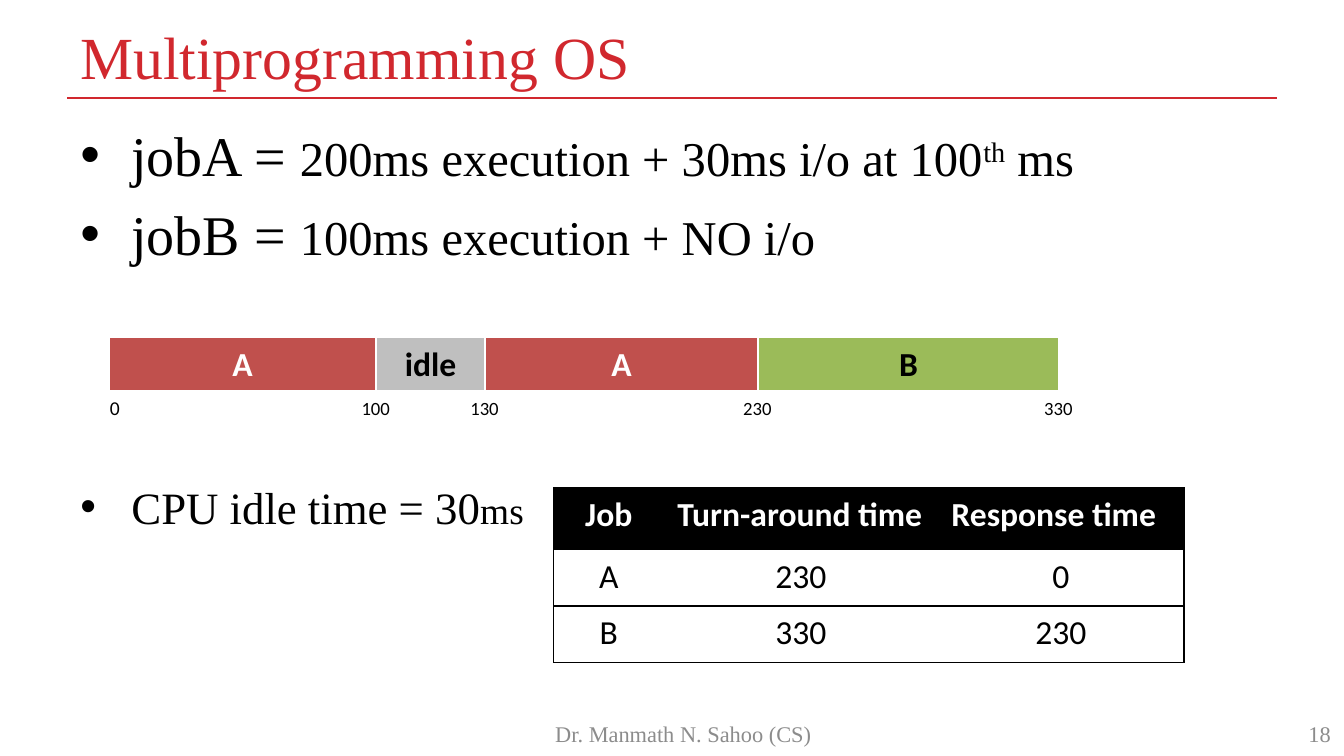
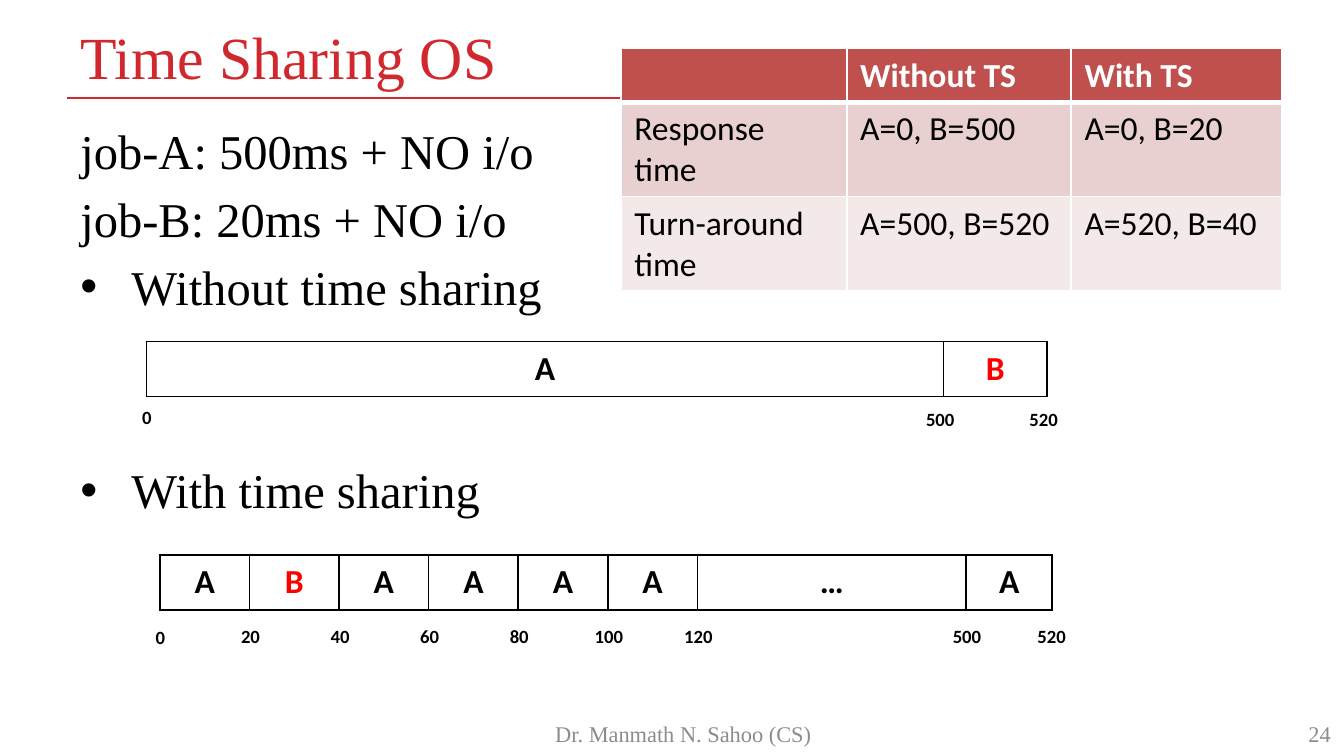
import dataclasses

import pptx
import pptx.dml.color
import pptx.enum.shapes
import pptx.enum.text
import pptx.oxml
import pptx.oxml.ns
import pptx.util
from pptx.util import Inches

ALIGN = pptx.enum.text.PP_ALIGN
ANCHOR = pptx.enum.text.MSO_ANCHOR
SERIF, SANS = "Times New Roman", "Calibri"
RED, BRICK, GREEN, IDLE = "D1282E", "C0504D", "9BBB59", "BFBFBF"
BLACK, WHITE, GREY, ALERT = "000000", "FFFFFF", "8C8C8C", "FF0000"
NO_GRID_STYLE = "{2D5ABB26-0587-4C30-8999-92F81FD0307C}"
ROW = 0.41  # height of a timeline or tick row
HANG = 0.38  # bullet indent


@dataclasses.dataclass
class Cell:
    """Content and look of one table cell; edges maps L, R, T, B to (colour, points)."""
    text: str
    size: float = 18
    color: str = BLACK
    bold: bool = False
    align: int = ALIGN.CENTER
    fill: str = ""
    edges: dict = dataclasses.field(default_factory=dict)


def rgb(value):
    """Turn a hex string into a colour."""
    return pptx.dml.color.RGBColor.from_string(value)


def all_edges(color, width, **changed):
    """Same edge on four sides, except for the changed ones."""
    return {**{side: (color, width) for side in "LRTB"}, **changed}


def add_run(paragraph, text, size, color=BLACK, font=SERIF, bold=False, raised=False):
    """Append one formatted run."""
    run = paragraph.add_run()
    run.text = text
    run.font.size = pptx.util.Pt(size)
    run.font.name = font
    run.font.bold = bold
    run.font.color.rgb = rgb(color)
    if raised:
        run.font._element.set("baseline", "30000")


def add_text_frame(slide, box, anchor=ANCHOR.TOP, wrap=True):
    """Add a text box and return its frame."""
    frame = slide.shapes.add_textbox(*map(Inches, box)).text_frame
    frame.word_wrap = wrap
    frame.vertical_anchor = anchor
    return frame


def add_label(slide, box, text, size, color, align=ALIGN.LEFT):
    """Add one bottom-anchored serif line."""
    paragraph = add_text_frame(slide, box, ANCHOR.BOTTOM).paragraphs[0]
    paragraph.alignment = align
    add_run(paragraph, text, size, color)


def add_frame(prs, title, number):
    """Start a slide with its title, rule and footer."""
    slide = prs.slides.add_slide(prs.slide_layouts[6])
    rule = slide.shapes.add_connector(
        pptx.enum.shapes.MSO_CONNECTOR.STRAIGHT,
        Inches(0.5), Inches(0.73), Inches(9.5), Inches(0.73))
    rule.line.color.rgb = rgb(RED)
    rule.line.width = pptx.util.Pt(0.75)
    rule._element.spPr.append(pptx.oxml.parse_xml(
        f'<a:effectLst {pptx.oxml.ns.nsdecls("a")}/>'))
    add_label(slide, (0.5, -0.02, 9, 0.75), title, 32, RED)
    add_label(slide, (3.5, 5.31, 3.17, 0.3), "Dr. Manmath N. Sahoo (CS)", 12, GREY,
              ALIGN.CENTER)
    add_label(slide, (7.67, 5.31, 2.33, 0.3), number, 12, GREY, ALIGN.RIGHT)
    return slide


def add_body(slide, box, lines):
    """Add body lines, each given as (bulleted, points before, runs)."""
    frame = add_text_frame(slide, box)
    for index, (bulleted, before, runs) in enumerate(lines):
        paragraph = frame.add_paragraph() if index else frame.paragraphs[0]
        paragraph.alignment = ALIGN.JUSTIFY
        paragraph.space_before = pptx.util.Pt(before)
        if bulleted:
            properties = paragraph._p.get_or_add_pPr()
            properties.set("marL", str(Inches(HANG)))
            properties.set("indent", str(-Inches(HANG)))
            for tag in ('buFont typeface="Arial"', 'buChar char="\u2022"'):
                properties.append(pptx.oxml.parse_xml(
                    f'<a:{tag} {pptx.oxml.ns.nsdecls("a")}/>'))
        for text, size, *raised in runs:
            add_run(paragraph, text, size, raised=bool(raised))


def style_cell(target, cell):
    """Write a Cell into a table cell."""
    if cell.fill:
        target.fill.solid()
        target.fill.fore_color.rgb = rgb(cell.fill)
    else:
        target.fill.background()
    paragraph = target.text_frame.paragraphs[0]
    paragraph.alignment = cell.align
    if cell.text:
        add_run(paragraph, cell.text, cell.size, cell.color, SANS, cell.bold)
    properties = target._tc.get_or_add_tcPr()
    sides = [side for side in "LRTB" if side in cell.edges]
    for index, side in enumerate(sides):
        color, width = cell.edges[side]
        properties.insert(index, pptx.oxml.parse_xml(
            f'<a:ln{side} {pptx.oxml.ns.nsdecls("a")} w="{pptx.util.Pt(width)}">'
            f'<a:solidFill><a:srgbClr val="{color}"/></a:solidFill></a:ln{side}>'))


def add_grid(slide, left, top, widths, heights, rows):
    """Add a plain table filled from rows of Cells."""
    table = slide.shapes.add_table(
        len(heights), len(widths), Inches(left), Inches(top),
        Inches(sum(widths)), Inches(sum(heights))).table
    table.first_row = table.horz_banding = False
    table._tbl.tblPr.find(pptx.oxml.ns.qn("a:tableStyleId")).text = NO_GRID_STYLE
    for column, width in zip(table.columns, widths):
        column.width = Inches(width)
    for row, height in zip(table.rows, heights):
        row.height = Inches(height)
    for r, row in enumerate(rows):
        for c, cell in enumerate(row):
            style_cell(table.cell(r, c), cell)


def add_ticks(slide, left, top, widths, times, bold=False, centred=0):
    """Add the row of end times; the first few may be centred."""
    add_grid(slide, left, top, widths, [ROW], [[
        Cell(time, 10, bold=bold, align=ALIGN.CENTER if i < centred else ALIGN.RIGHT)
        for i, time in enumerate(times)]])


def add_origin(slide, left, top, size, bold=False):
    """Add the zero at the start of a timeline."""
    frame = add_text_frame(slide, (left, top, 0.27, 0.28), wrap=False)
    add_run(frame.paragraphs[0], "0", size, font=SANS, bold=bold)


def add_outlined_timeline(slide, left, top, widths, jobs):
    """Add a black-lined timeline where job B stands out."""
    add_grid(slide, left, top, widths, [ROW], [[
        Cell(job, bold=True, color=ALERT if job == "B" else BLACK,
             edges=all_edges(BLACK, 1)) for job in jobs]])


def add_filled_timeline(slide, left, top, widths, blocks):
    """Add a timeline of coloured blocks given as (job, fill, text colour)."""
    edges = all_edges(WHITE, 1, B=(WHITE, 3))
    add_grid(slide, left, top, widths, [ROW], [[
        Cell(job, color=color, bold=True, fill=fill, edges=edges)
        for job, fill, color in blocks]])


def add_job_table(slide, left, top, widths, heights, rows):
    """Add the black-headed table of job times, without inner uprights."""
    line, last = (BLACK, 0.75), len(widths) - 1
    cells = []
    for r, row in enumerate(rows):
        cells.append([])
        for c, text in enumerate(row):
            edges = {"T": line, "B": line}
            if c == 0:
                edges["L"] = line
            if c == last:
                edges["R"] = line
            head = r == 0
            cells[r].append(Cell(
                text, color=WHITE if head else BLACK, bold=head,
                align=ALIGN.LEFT if head and c else ALIGN.CENTER,
                fill=BLACK if head else "", edges=edges))
    add_grid(slide, left, top, widths, heights, cells)


def add_comparison(slide, left, top, widths, heights, rows):
    """Add the red-headed table with tinted rows."""
    cells = []
    for r, (fill, row) in enumerate(zip((BRICK, "E8D0D0", "F4E9E9"), rows)):
        edges = all_edges(WHITE, 1)
        if r < 2:
            edges["T" if r else "B"] = (WHITE, 3)
        cells.append([Cell(text, color=BLACK if r else WHITE, bold=r == 0,
                           align=ALIGN.LEFT, fill=fill, edges=edges) for text in row])
    add_grid(slide, left, top, widths, heights, cells)


def build_multiprogramming(prs):
    """Slide on jobs run one after another with an idle gap."""
    slide = add_frame(prs, "Multiprogramming OS", "18")
    add_body(slide, (0.5, 0.85, 9, 4.36), [
        (True, 6, [("jobA = ", 30), ("200ms execution + 30ms i/o at 100", 26),
                   ("th", 26, True), (" ms", 26)]),
        (True, 6, [("jobB = ", 30), ("100ms execution + NO i/o", 26)]),
        (True, 114, [("CPU idle time = 30", 24), ("ms", 20)]),
    ])
    widths = [1.99, 0.81, 2.03, 2.24]
    add_filled_timeline(slide, 0.81, 2.51, widths, [
        ("A", BRICK, WHITE), ("idle", IDLE, BLACK),
        ("A", BRICK, WHITE), ("B", GREEN, BLACK)])
    add_ticks(slide, 1.01, 2.91, widths, ["100", "130", "230", "330"])
    add_origin(slide, 0.72, 2.9, 10.5)
    add_job_table(slide, 4.12, 3.63, [0.82, 2.04, 1.83], [0.46, 0.42, 0.42], [
        ("Job", "Turn-around time", "Response time"),
        ("A", "230", "0"),
        ("B", "330", "230")])


def build_time_sharing(prs):
    """Slide comparing runs without and with time sharing."""
    slide = add_frame(prs, "Time Sharing OS", "24")
    add_body(slide, (0.5, 0.85, 9, 4.3), [
        (bulleted, before, [(text, 26)]) for bulleted, before, text in (
            (False, 5.2, "job-A: 500ms + NO i/o"),
            (False, 5.2, "job-B: 20ms + NO i/o"),
            (True, 5.2, "Without time sharing"),
            (True, 78, "With time sharing"))])

    slices = [2 / 3] * 6
    add_outlined_timeline(slide, 1.19, 4.13, slices + [2, 0.64], [*"ABAAAA", "\u2026", "A"])
    add_ticks(slide, 1.53, 4.61, slices + [1.87, 0.63],
              [str(time) for time in (*range(20, 121, 20), 500, 520)], True, len(slices))
    add_origin(slide, 1.06, 4.61, 10, True)

    whole = [5.93, 0.77]
    add_outlined_timeline(slide, 1.09, 2.54, whole, "AB")
    add_ticks(slide, 1.27, 2.99, whole, ["500", "520"], True)
    add_origin(slide, 0.96, 2.97, 10, True)

    add_comparison(slide, 4.62, 0.36, [1.68, 1.67, 1.57], [0.4, 0.7, 0.7], [
        ("", "Without TS", "With TS"),
        ("Response time", "A=0, B=500", "A=0, B=20"),
        ("Turn-around time", "A=500, B=520", "A=520, B=40")])


def main():
    """Build and save the deck."""
    prs = pptx.Presentation()
    prs.slide_width = Inches(10)
    prs.slide_height = Inches(10 * 9 / 16)
    build_multiprogramming(prs)
    build_time_sharing(prs)
    prs.save("out.pptx")


main()
